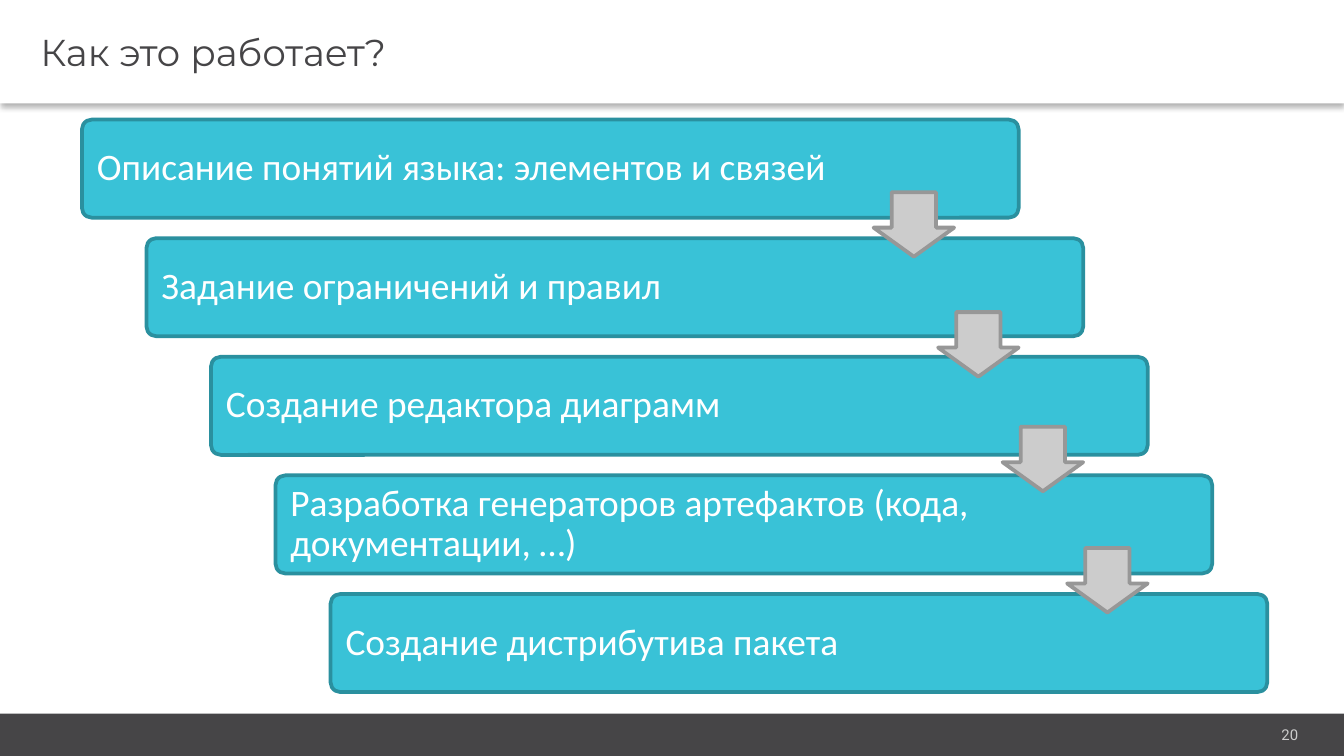
from lxml.etree import SubElement
from pptx import Presentation
from pptx.dml.color import RGBColor
from pptx.enum.shapes import MSO_SHAPE
from pptx.enum.text import MSO_ANCHOR, MSO_AUTO_SIZE, PP_ALIGN
from pptx.oxml import parse_xml
from pptx.oxml.ns import nsdecls, qn
from pptx.util import Inches, Pt

WHITE = RGBColor(0xFF, 0xFF, 0xFF)
DARK = RGBColor(0x46, 0x45, 0x47)
TEAL = RGBColor(0x39, 0xC2, 0xD7)
TEAL_EDGE = RGBColor(0x2A, 0x90, 0x9F)
GRAY = RGBColor(0xCC, 0xCC, 0xCC)
GRAY_EDGE = RGBColor(0x97, 0x97, 0x97)

WIDTH = 10
HEIGHT = WIDTH * 9 / 16
STEPS = [
    "Описание понятий языка: элементов и связей",
    "Задание ограничений и правил",
    "Создание редактора диаграмм",
    "Разработка генераторов артефактов (кода, документации, …)",
    "Создание дистрибутива пакета",
]
STEP_INDENTS = [0, 0.48, 0.96, 1.44, 1.85]
ARROW_DROPS = [0.54, 0.55, 0.52, 0.54]


def place(part, left, top, width, height):
    part.left, part.top = Inches(left), Inches(top)
    part.width, part.height = Inches(width), Inches(height)


def set_insets(frame, left, top, right, bottom):
    frame.margin_left, frame.margin_top = Inches(left), Inches(top)
    frame.margin_right, frame.margin_bottom = Inches(right), Inches(bottom)


def write(frame, text, font_name, size, color, align=PP_ALIGN.LEFT):
    frame.word_wrap = True
    frame.vertical_anchor = MSO_ANCHOR.MIDDLE
    frame.text = text
    paragraph = frame.paragraphs[0]
    paragraph.alignment = align
    paragraph.font.name = font_name
    paragraph.font.size = Pt(size)
    paragraph.font.color.rgb = color
    return paragraph


def add_block(slide, kind, box, fill, edge=None):
    block = slide.shapes.add_shape(kind, *map(Inches, box))
    block.shadow.inherit = False
    block.fill.solid()
    block.fill.fore_color.rgb = fill
    if edge is None:
        block.line.fill.background()
    else:
        block.line.color.rgb = edge
        block.line.width = Pt(2)
    return block


def add_header(slide, box):
    title = slide.shapes.title
    place(title, *box)
    title.fill.solid()
    title.fill.fore_color.rgb = WHITE
    frame = title.text_frame
    frame.auto_size = MSO_AUTO_SIZE.NONE
    set_insets(frame, 0.3, 0.04, 0.07, 0.04)
    write(frame, "Как это работает?", "Montserrat", 20, DARK)
    properties = title.element.find(qn("p:spPr"))
    effects = SubElement(properties, qn("a:effectLst"))
    effects.append(parse_xml(
        f'<a:outerShdw {nsdecls("a")} blurRad="{Pt(3.1)}" dist="{Pt(2)}" '
        'dir="5400000" algn="t" rotWithShape="0">'
        '<a:srgbClr val="000000"><a:alpha val="30000"/></a:srgbClr>'
        '</a:outerShdw>'))


def add_footer(slide, box):
    left, top, width, height = box
    add_block(slide, MSO_SHAPE.RECTANGLE, box, DARK)
    number = slide.shapes.add_textbox(0, 0, 0, 0)
    place(number, left + 0.81 * width, top + 0.05, 0.16 * width, 0.21)
    set_insets(number.text_frame, 0.07, 0.04, 0.04, 0.04)
    write(number.text_frame, "20", "Roboto", 8, GRAY, PP_ALIGN.RIGHT)


def add_cascade(slide, box):
    left, top, width, height = box
    step_width, step_height = width - STEP_INDENTS[-1], 0.73
    pitch = (height - step_height) / (len(STEPS) - 1)
    corners = [(left + indent, top + row * pitch)
               for row, indent in enumerate(STEP_INDENTS)]

    for text, (x, y) in zip(STEPS, corners):
        step = add_block(slide, MSO_SHAPE.ROUNDED_RECTANGLE,
                         (x, y, step_width, step_height), TEAL, TEAL_EDGE)
        step.adjustments[0] = 0.1
        set_insets(step.text_frame, 0.09, 0.11, 1.1, 0.11)
        paragraph = write(step.text_frame, text, "Calibri", 20, WHITE)
        paragraph.line_spacing = 0.9

    for drop, (x, y) in zip(ARROW_DROPS, corners):
        arrow = add_block(slide, MSO_SHAPE.DOWN_ARROW,
                          (x + 5.89, y + drop, 0.6, 0.48), GRAY, GRAY_EDGE)
        arrow.adjustments[0] = 0.55
        arrow.adjustments[1] = 0.45


def main():
    deck = Presentation()
    deck.slide_width, deck.slide_height = Inches(WIDTH), Inches(HEIGHT)
    slide = deck.slides.add_slide(deck.slide_layouts[5])
    add_footer(slide, (0, 5.31, WIDTH, HEIGHT - 5.31))
    add_header(slide, (0, 0, WIDTH, 0.77))
    add_cascade(slide, (0.61, 0.89, 8.82, 4.26))
    deck.save("out.pptx")


if __name__ == "__main__":
    main()
